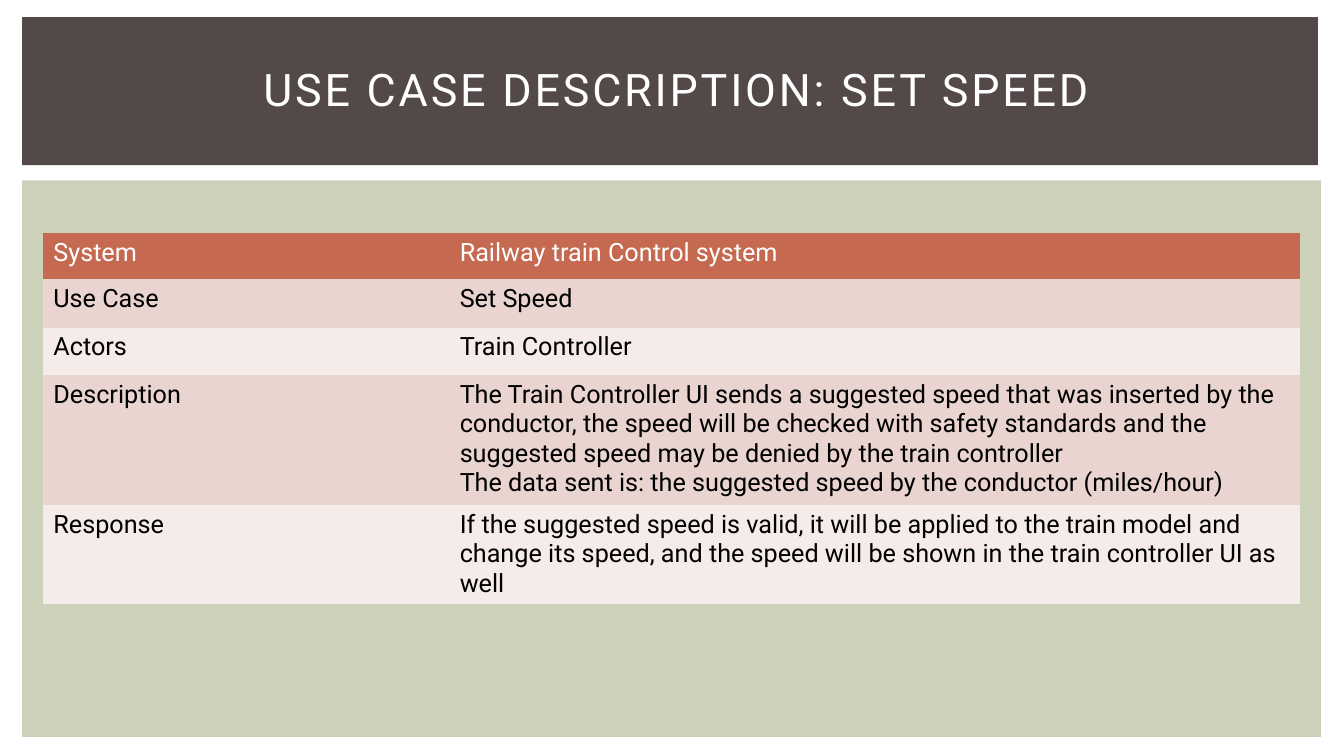
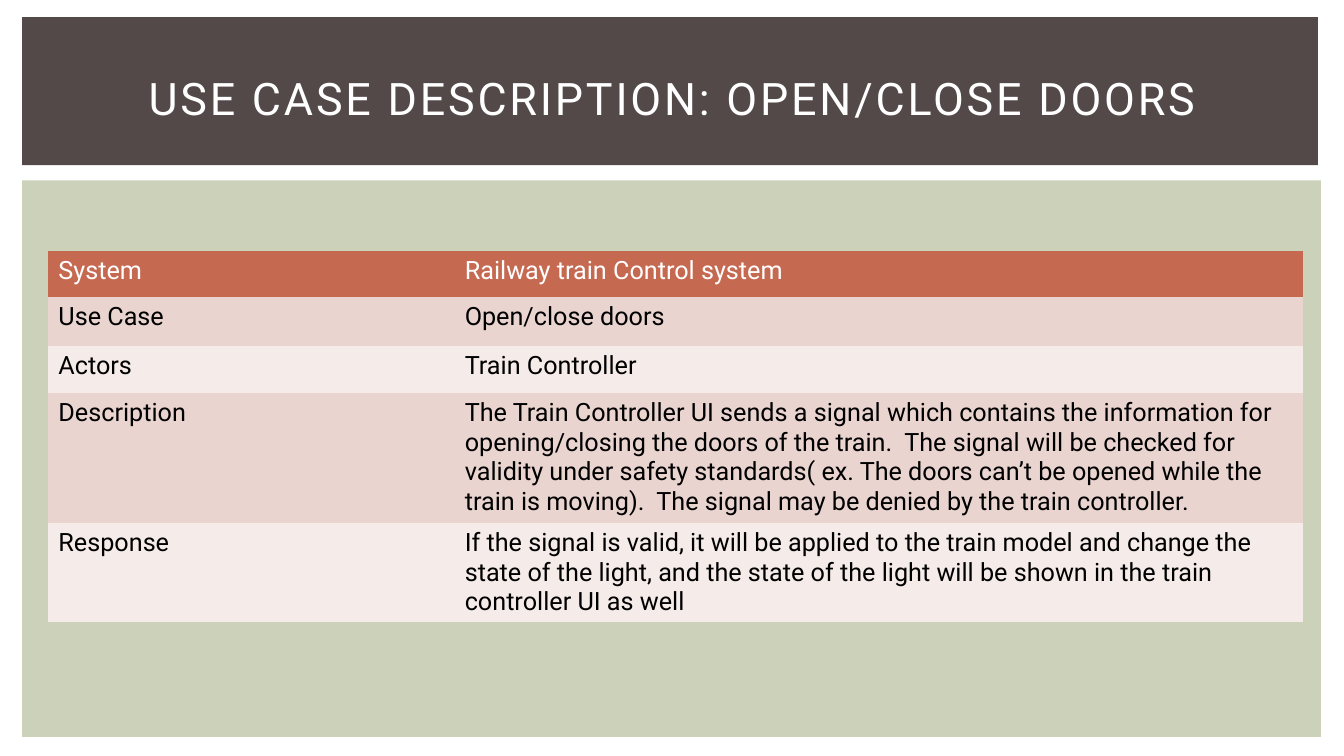
from dataclasses import dataclass
from typing import Any

from pptx import Presentation
from pptx.dml.color import RGBColor
from pptx.enum.shapes import MSO_SHAPE as Shape
from pptx.enum.text import MSO_ANCHOR as Anchor, MSO_AUTO_SIZE as Auto, PP_ALIGN as Align
from pptx.oxml.ns import qn
from pptx.util import Inches, Pt

FONT = "Roboto"
WHITE, BLACK = "FFFFFF", "000000"
HEAD, ROSE, PALE = "C66951", "EAD4D0", "F5EBE9"
PLAIN = "{2D5ABB26-0587-4C30-8999-92F81FD0307C}"
ROWS = (0.46, 0.48, 0.47, 1.29, 0.98)
LABELS = ("System", "Use Case", "Actors", "Description", "Response")
SYSTEM, ACTOR = "Railway train Control system", "Train Controller"


@dataclass(frozen=True)
class Box:
    left: float
    top: float
    width: float
    height: float

    def place(self, item: Any) -> None:
        item.left, item.top = Inches(self.left), Inches(self.top)
        item.width, item.height = Inches(self.width), Inches(self.height)


@dataclass(frozen=True)
class Band:
    box: Box
    color: str


@dataclass(frozen=True)
class Case:
    title: str
    head: Box
    left: float
    top: float
    cols: tuple[float, float]
    name: str
    about: tuple[str, ...]
    reply: str


BANDS = (
    Band(Box(0.22, 1.79, 12.88, 5.52), "CCD1B9"),
    Band(Box(0.22, 0.17, 12.85, 1.47), "534949"),
)

CASES = (
    Case(
        "USE CASE DESCRIPTION: SET SPEED",
        Box(0.6, 0.3, 12.22, 1.15), 0.43, 2.31, (4.03, 8.43),
        "Set Speed",
        ("The Train Controller UI sends a suggested speed that was inserted by "
         "the conductor, the speed will be checked with safety standards and "
         "the suggested speed may be denied by the train controller",
         "The data sent is: the suggested speed by the conductor (miles/hour)"),
        "If the suggested speed is valid, it will be applied to the train model "
        "and change its speed, and the speed will be shown in the train "
        "controller UI as well",
    ),
    Case(
        "USE CASE DESCRIPTION: OPEN/CLOSE DOORS",
        Box(0.56, 0.39, 12.22, 1.15), 0.48, 2.49, (4.03, 8.41),
        "Open/close doors",
        ("The Train Controller UI sends a signal which contains the information "
         "for opening/closing the doors of the train.  The signal will be "
         "checked for validity under safety standards( ex. The doors can’t be "
         "opened while the train is moving).  The signal may be denied by the "
         "train controller.",),
        "If the signal is valid, it will be applied to the train model and "
        "change the state of the light, and the state of the light will be "
        "shown in the train controller UI as well",
    ),
)


def rgb(color: str) -> RGBColor:
    return RGBColor.from_string(color)


def paint(item: Any, color: str) -> None:
    item.fill.solid()
    item.fill.fore_color.rgb = rgb(color)


def add_run(para: Any, text: str, size: float, color: str) -> Any:
    run = para.add_run()
    run.text = text
    run.font.name = FONT
    run.font.size = Pt(size)
    run.font.bold = False
    run.font.color.rgb = rgb(color)
    return run


def add_title(slide: Any, case: Case) -> None:
    title = slide.shapes.title
    case.head.place(title)
    frame = title.text_frame
    frame.word_wrap = True
    frame.auto_size = Auto.NONE
    frame.vertical_anchor = Anchor.MIDDLE
    para = frame.paragraphs[0]
    para.alignment = Align.CENTER
    run = add_run(para, case.title, 32, WHITE)
    run.font._element.set("spc", "200")


def add_band(slide: Any, band: Band) -> None:
    shape = slide.shapes.add_shape(Shape.RECTANGLE, 0, 0, 0, 0)
    band.box.place(shape)
    paint(shape, band.color)
    shape.line.fill.background()
    shape.shadow.inherit = False
    slide.shapes.title.element.addprevious(shape.element)


def fill_cell(cell: Any, lines: tuple[str, ...], fill: str, color: str) -> None:
    paint(cell, fill)
    frame = cell.text_frame
    for i, line in enumerate(lines):
        para = frame.add_paragraph() if i else frame.paragraphs[0]
        add_run(para, line, 18, color)


def add_grid(slide: Any, case: Case) -> None:
    frame = slide.shapes.add_table(
        len(ROWS), len(case.cols), Inches(case.left), Inches(case.top),
        Inches(sum(case.cols)), Inches(sum(ROWS)))
    frame.element.find(".//" + qn("a:tableStyleId")).text = PLAIN
    table = frame.table
    for col, width in zip(table.columns, case.cols):
        col.width = Inches(width)
    facts = ((SYSTEM,), (case.name,), (ACTOR,), case.about, (case.reply,))
    for i, (row, tall, label, fact) in enumerate(zip(table.rows, ROWS, LABELS, facts)):
        row.height = Inches(tall)
        fill = HEAD if i == 0 else ROSE if i % 2 else PALE
        color = BLACK if i else WHITE
        for cell, lines in zip(row.cells, ((label,), fact)):
            fill_cell(cell, lines, fill, color)


def main() -> None:
    deck = Presentation()
    deck.slide_width, deck.slide_height = Inches(13.33), Inches(7.5)
    for case in CASES:
        slide = deck.slides.add_slide(deck.slide_layouts[5])
        add_title(slide, case)
        for band in BANDS:
            add_band(slide, band)
        add_grid(slide, case)
    deck.save("out.pptx")


if __name__ == "__main__":
    main()
